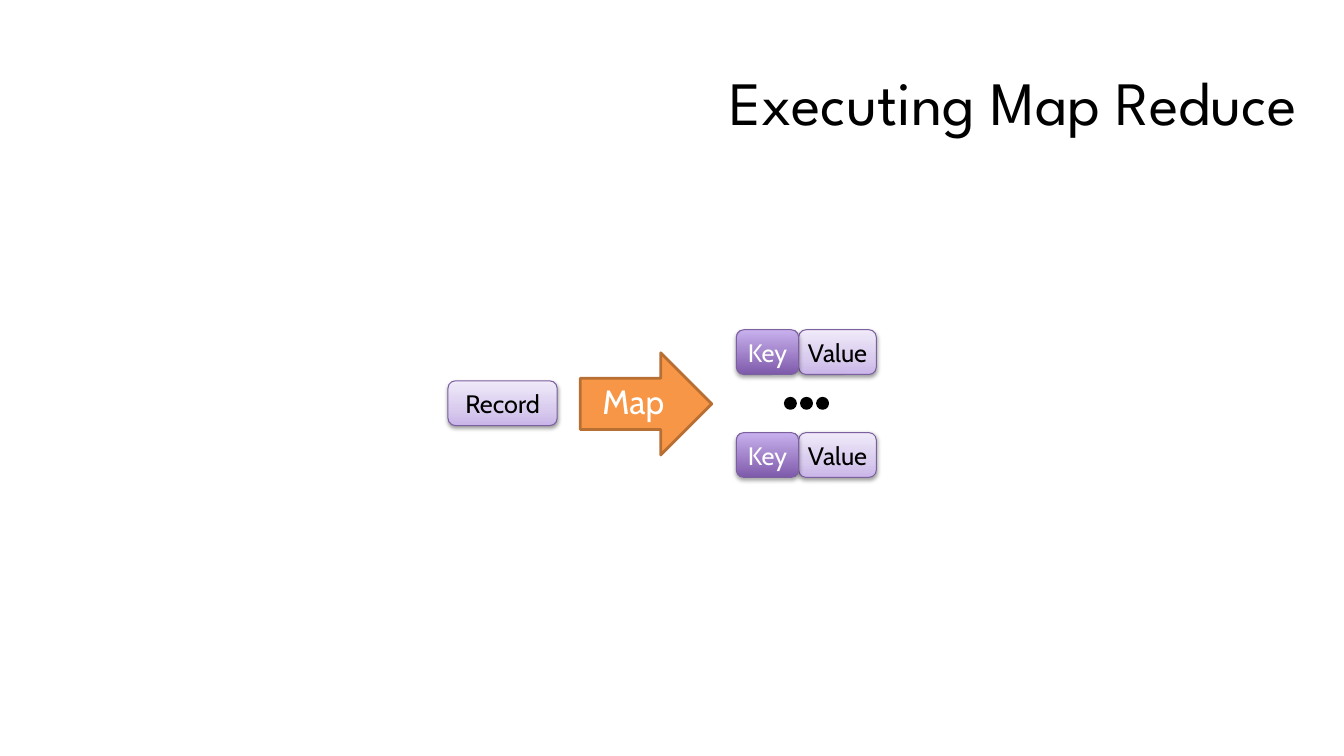
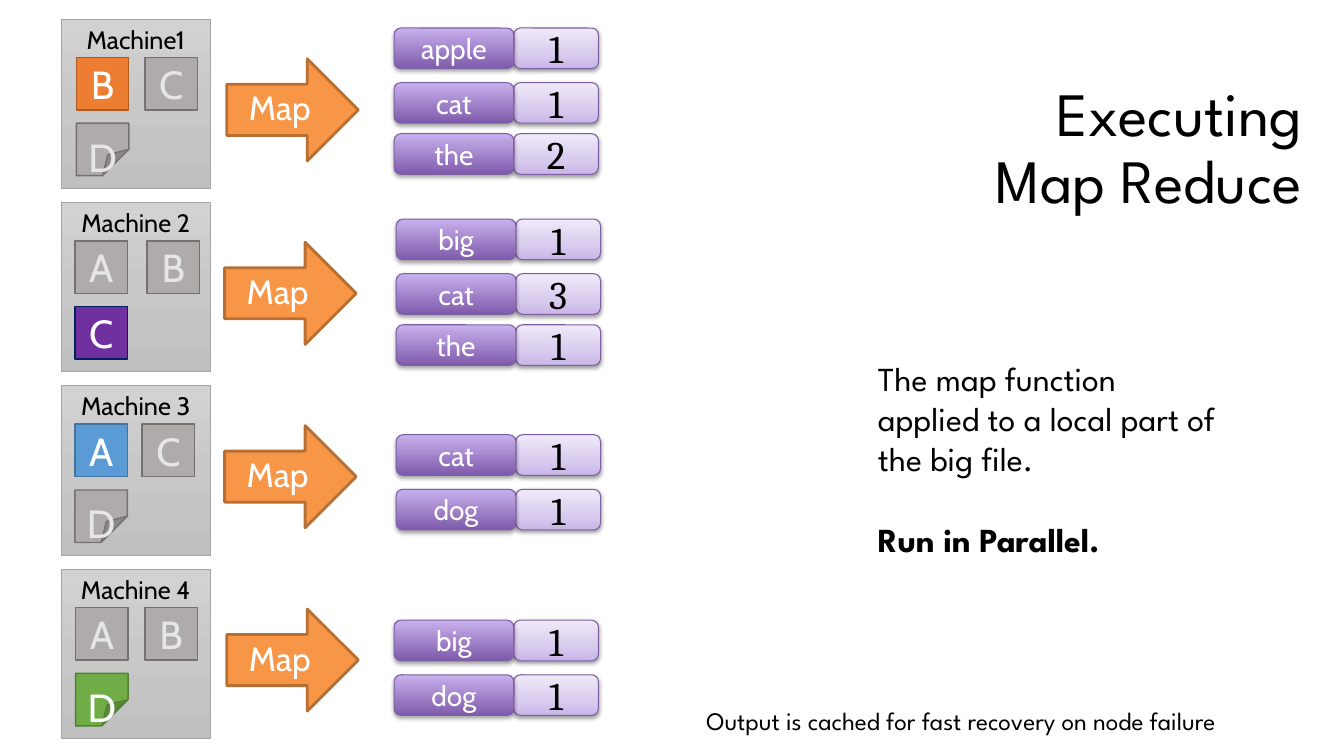
from lxml import etree
from pptx import Presentation
from pptx.dml.color import RGBColor
from pptx.enum import shapes as sh, text as tx
from pptx.oxml.ns import qn
from pptx.util import Pt

HUES = {
    "black": "000000", "white": "FFFFFF",
    "arrow": "F79646", "arrow edge": "B76F34",
    "pair edge": "7D60A0", "box edge": "A5A5A5",
    "idle": "AFABAB", "idle edge": "767171", "idle text": "E7E6E6",
    "A": "5B9BD5", "A edge": "43739E",
    "B": "ED7D31", "B edge": "AF5C24",
    "C": "7030A0", "C edge": "002060",
    "D": "70AD47", "D edge": "538035",
}
FADES = {
    "light": (90, [(0, "C9B5E8"), (35, "D8CBEE"), (100, "F0EAF9")]),
    "dark": (90, [(0, "7F5BAB"), (100, "C8B0ED")]),
    "grey": (270, [(0, "D2D2D2"), (50, "C8C8C8"), (100, "C0C0C0")]),
}
SHADES = {"light": (38, 1.6), "dark": (35, 1.8)}
HEAD, SANS, SERIF = "League Spartan", "Cabin", "Cambria"
KIND = sh.MSO_SHAPE
ALIGN = tx.PP_ALIGN
MID, TOP = tx.MSO_ANCHOR.MIDDLE, tx.MSO_ANCHOR.TOP

MACHINES = [
    ("Machine1", "BCD", "B", 54.5, 103.5, 162, 281.5, 20,
     [("apple", 1), ("cat", 1), ("the", 2)]),
    ("Machine 2", "ABC", "C", 53.5, 105, 160.5, 283, 156.5,
     [("big", 1), ("cat", 3), ("the", 1)]),
    ("Machine 3", "ACD", "A", 53.5, 101.5, 160.5, 283, 310.5,
     [("cat", 1), ("dog", 1)]),
    ("Machine 4", "ABD", "D", 54, 103.5, 162, 281.5, 443,
     [("big", 1), ("dog", 1)]),
]


def rgb(name):
    return RGBColor.from_string(HUES[name])


def style(para, face, size, hue="black", align=ALIGN.LEFT):
    para.alignment = align
    font = para.font
    font.name, font.size = face, Pt(size)
    font.color.rgb = rgb(hue)


def fade(shape, name):
    angle, stops = FADES[name]
    shape.fill.gradient()
    shape.fill.gradient_angle = angle
    group = shape._element.spPr.find(".//" + qn("a:gsLst"))
    group.clear()
    for pos, code in stops:
        stop = etree.SubElement(group, qn("a:gs"), pos=str(pos * 1000))
        etree.SubElement(stop, qn("a:srgbClr"), val=code)


def shade(shape, name):
    alpha, dist = SHADES[name]
    effect = shape._element.spPr.find(qn("a:effectLst"))
    outer = etree.SubElement(
        effect, qn("a:outerShdw"), blurRad=str(Pt(3.1)), dist=str(Pt(dist)),
        dir="5400000", rotWithShape="0")
    hue = etree.SubElement(outer, qn("a:srgbClr"), val=HUES["black"])
    etree.SubElement(hue, qn("a:alpha"), val=str(alpha * 1000))


def block(parts, kind, area, fill, edge, width, label="", face=SANS, size=18,
          hue="black", pad=(7.2, 3.6, 7.2, 3.6), anchor=MID):
    shape = parts.add_shape(kind, *map(Pt, area))
    shape.shadow.inherit = False
    if fill in FADES:
        fade(shape, fill)
    else:
        shape.fill.solid()
        shape.fill.fore_color.rgb = rgb(fill)
    if fill in SHADES:
        shade(shape, fill)
    shape.line.color.rgb = rgb(edge)
    shape.line.width = Pt(width)
    if label:
        frame = shape.text_frame
        frame.margin_left, frame.margin_top, frame.margin_right, frame.margin_bottom = map(Pt, pad)
        frame.vertical_anchor = anchor
        frame.text = label
        style(frame.paragraphs[0], face, size, hue, ALIGN.CENTER)
    return shape


def pill(parts, area, fill, label, **look):
    block(parts, KIND.ROUNDED_RECTANGLE, area, fill, "pair edge", 0.75, label, **look)


def pair(slide, left, top, wide, high, key, value, size=18, face=SANS, count=18):
    parts = slide.shapes.add_group_shape().shapes
    pad = (0, 3.6, 0, 3.6)
    first, second = wide
    pill(parts, (left + first, top, second, high), "light", value,
         face=face, size=count, pad=pad)
    pill(parts, (left, top, first, high), "dark", key, size=size, hue="white", pad=pad)


def arrow(slide, left, top):
    block(slide.shapes, KIND.RIGHT_ARROW, (left, top, 94, 73), "arrow", "arrow edge", 2,
          "Map", size=24, hue="white", pad=(7.2, 0, 7.2, 3.6))


def tile(slide, left, top, name, live):
    fill = name if live else "idle"
    look = dict(size=28, hue="white" if live else "idle text")
    area = (left, top, 37.5, 37.5)
    if name == "D":
        fold = block(slide.shapes, KIND.FOLDED_CORNER, area, fill, fill + " edge", 1,
                     name, pad=(7.2, 28.8, 7.2, 0), **look)
        guides = fold._element.spPr.find(".//" + qn("a:avLst"))
        guides.clear()
        etree.SubElement(guides, qn("a:gd"), name="adj", fmla="val 50000")
    else:
        block(slide.shapes, KIND.RECTANGLE, area, fill, fill + " edge", 1, name, **look)


def dots(slide, left, top):
    parts = slide.shapes.add_group_shape().shapes
    for i in range(3):
        block(parts, KIND.OVAL, (left + 11.5 * i, top, 7.2, 7.2), "black", "black", 2)


def note(slide, area, lines, size, wrap=True):
    frame = slide.shapes.add_textbox(*map(Pt, area)).text_frame
    frame.word_wrap = wrap
    frame.text = "\n".join(lines)
    for para in frame.paragraphs:
        style(para, HEAD, size)
    return frame.paragraphs


def page(deck, area):
    slide = deck.slides.add_slide(deck.slide_layouts[5])
    title = slide.shapes.title
    title.left, title.top, title.width, title.height = map(Pt, area)
    frame = title.text_frame
    frame.text = "Executing Map Reduce"
    frame.auto_size = tx.MSO_AUTO_SIZE.NONE
    frame.vertical_anchor = MID
    para = frame.paragraphs[0]
    style(para, HEAD, 44, align=ALIGN.RIGHT)
    para.line_spacing = 0.9
    return slide


def machine(slide, top, row):
    name, files, live, left, right, tip, start, first, words = row
    block(slide.shapes, KIND.RECTANGLE, (44, top, 106, 121), "grey", "box edge", 0.5,
          name, anchor=TOP)
    spots = [(left, 27.5), (right, 27.5), (left, 74.5)]
    for file, (x, y) in zip(files, spots):
        tile(slide, x, top + y, file, file == live)
    arrow(slide, tip, top + 28.5)
    for (word, count), drop in zip(words, (0, 39, 75.5)):
        pair(slide, start, first + drop, (85.5, 60.5), 29, word, str(count),
             size=20, face=SERIF, count=28)


def basic(deck):
    slide = page(deck, (234, 23, 700, 104.5))
    arrow(slide, 414.5, 252)
    pill(slide.shapes, (320, 272, 78, 32), "light", "Record")
    for top in (235.5, 309):
        pair(slide, 526, top, (44.5, 55.5), 32, "Key", "Value")
    dots(slide, 561, 284.5)


def spread(deck):
    slide = page(deck, (681, 31, 256.5, 152))
    for i, row in enumerate(MACHINES):
        machine(slide, 13.5 + 131 * i, row)
    lines = note(slide, (620, 252, 258, 152.5), [
        "The map function applied to a local part of the big file.",
        "Run in Parallel."], 24)
    lines[1].space_before = Pt(29)
    lines[1].font.bold = True
    note(slide, (497.5, 500.5, 456, 29),
         ["Output is cached for fast recovery on node failure"], 18, wrap=False)


def main():
    deck = Presentation()
    deck.slide_width, deck.slide_height = Pt(960), Pt(540)
    basic(deck)
    spread(deck)
    deck.save("out.pptx")


if __name__ == "__main__":
    main()
